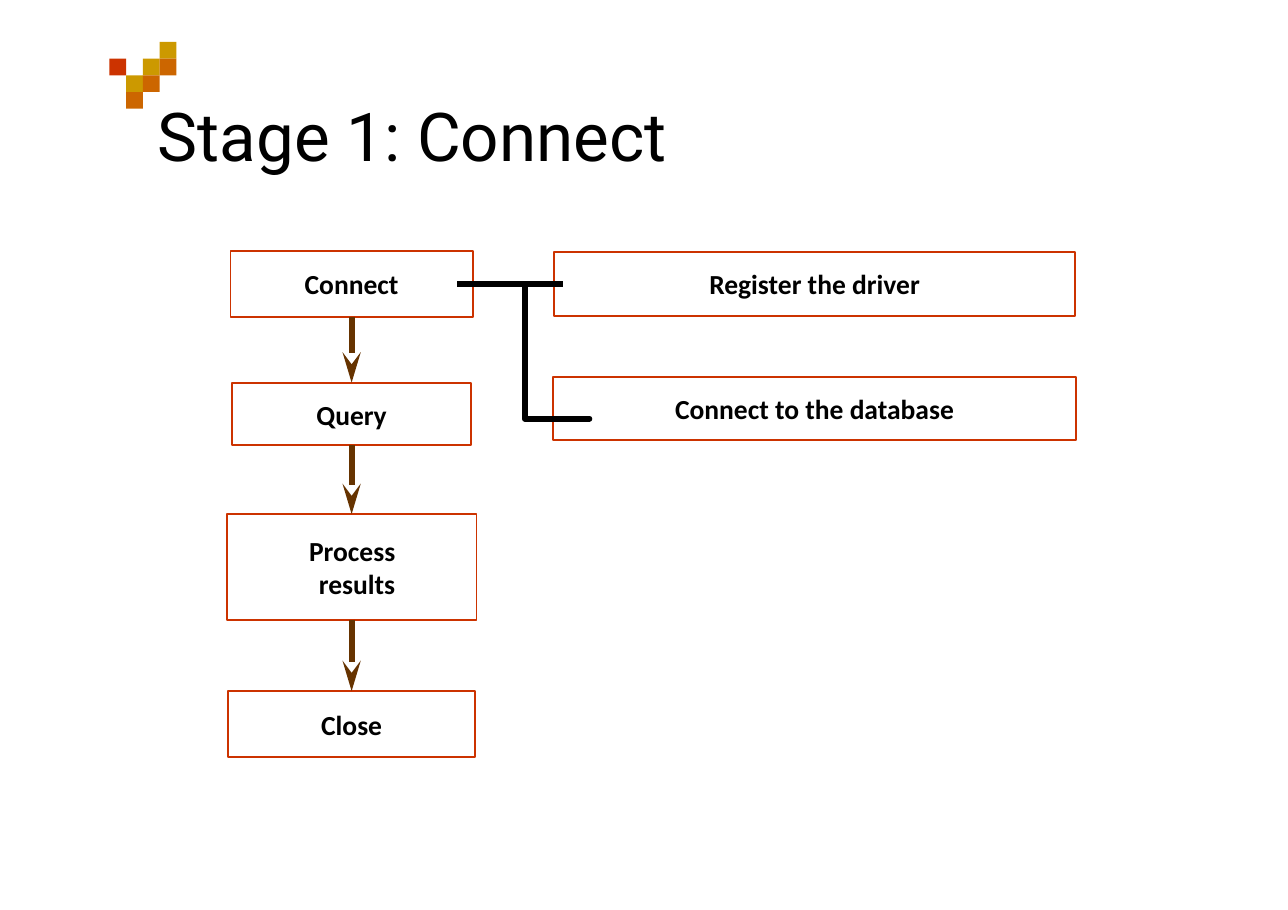
from dataclasses import dataclass
from lxml import etree
from pptx import Presentation
from pptx.dml.color import RGBColor
from pptx.enum.shapes import MSO_CONNECTOR, MSO_SHAPE
from pptx.enum.text import MSO_ANCHOR, MSO_AUTO_SIZE, PP_ALIGN
from pptx.oxml.ns import qn
from pptx.util import Inches, Pt

RECTANGLE = MSO_SHAPE.RECTANGLE
STRAIGHT = MSO_CONNECTOR.STRAIGHT
LEFT, CENTER, RIGHT = PP_ALIGN.LEFT, PP_ALIGN.CENTER, PP_ALIGN.RIGHT
TOP, MIDDLE = MSO_ANCHOR.TOP, MSO_ANCHOR.MIDDLE
BOTTOM_SITE, TOP_SITE = 2, 0


@dataclass(frozen=True)
class Theme:
    ink: RGBColor = RGBColor(0, 0, 0)
    red: RGBColor = RGBColor(0xCC, 0x33, 0x00)
    orange: RGBColor = RGBColor(0xCC, 0x66, 0x00)
    gold: RGBColor = RGBColor(0xCC, 0x99, 0x00)
    brown: RGBColor = RGBColor(0x66, 0x33, 0x00)
    title_font: str = "Roboto"
    box_font: str = "Calibri"
    title_size: Pt = Pt(44)
    box_size: Pt = Pt(18)
    border: Pt = Pt(1.25)
    stroke: Pt = Pt(4)


theme = Theme()
deck = Presentation()
deck.slide_width, deck.slide_height = Inches(11.69), Inches(8.26)


def col(share):
    return round(deck.slide_width * share / 100)


def row(share):
    return round(deck.slide_height * share / 100)


page = deck.slides.add_slide(deck.slide_layouts[5])
shapes = page.shapes

tile = col(1.3)
tiles = [
    (0, 1, theme.red),
    (1, 2, theme.gold), (1, 3, theme.orange),
    (2, 1, theme.gold), (2, 2, theme.orange),
    (3, 0, theme.gold), (3, 1, theme.orange),
]
for across, down, color in tiles:
    square = shapes.add_shape(RECTANGLE, col(8.5) + across * tile, row(4.6) + down * tile, tile, tile)
    square.shadow.inherit = False
    square.fill.solid()
    square.fill.fore_color.rgb = color
    square.line.fill.background()

title = shapes.title
title.left, title.top, title.width, title.height = col(12.25), row(10.4), col(40.6), row(9.2)
frame = title.text_frame
frame.text = "Stage 1: Connect"
frame.auto_size = MSO_AUTO_SIZE.NONE
frame.vertical_anchor = TOP
frame.margin_left = frame.margin_top = frame.margin_right = frame.margin_bottom = 0
para = frame.paragraphs[0]
para.alignment = LEFT
para.font.name = theme.title_font
para.font.size = theme.title_size
para.font.color.rgb = theme.ink

flow_center, detail_center = 27.3, 63.25
labels = [
    ("Connect", flow_center, 27.55, 18.8, 7.25),
    ("Query", flow_center, 42.05, 18.6, 6.9),
    ("Process results", flow_center, 56.5, 19.4, 11.6),
    ("Close", flow_center, 75.95, 19.2, 7.25),
    ("Register the driver", detail_center, 27.7, 40.4, 7),
    ("Connect to the database", detail_center, 41.4, 40.6, 7),
]
boxes = {}
for label, center, top, width, height in labels:
    box = shapes.add_shape(RECTANGLE, col(center - width / 2), row(top), col(width), row(height))
    box.shadow.inherit = False
    box.fill.background()
    box.line.color.rgb = theme.red
    box.line.width = theme.border
    frame = box.text_frame
    frame.text = label
    frame.word_wrap = True
    frame.vertical_anchor = MIDDLE
    frame.margin_left = frame.margin_top = frame.margin_right = frame.margin_bottom = 0
    para = frame.paragraphs[0]
    para.alignment = CENTER
    para.font.name = theme.box_font
    para.font.size = theme.box_size
    para.font.bold = True
    para.font.color.rgb = theme.ink
    boxes[label] = box

results_frame = boxes["Process results"].text_frame
results_frame.margin_left, results_frame.margin_right = col(5.2), col(6.3)
results_frame.paragraphs[0].alignment = RIGHT

branch = shapes.add_connector(STRAIGHT, col(35.5), row(31.2), col(43.7), row(31.2))
branch.line.color.rgb = theme.ink
connectors = [branch]

steps = [boxes[name] for name in ("Connect", "Query", "Process results", "Close")]
for upper, lower in zip(steps, steps[1:]):
    arrow = shapes.add_connector(STRAIGHT, 0, 0, 0, 0)
    arrow.begin_connect(upper, BOTTOM_SITE)
    arrow.end_connect(lower, TOP_SITE)
    arrow.line.color.rgb = theme.brown
    etree.SubElement(arrow.get_or_add_ln(), qn("a:tailEnd"), type="stealth", w="med", len="lg")
    connectors.append(arrow)

for connector in connectors:
    connector.line.width = theme.stroke
    etree.SubElement(connector._element.spPr, qn("a:effectLst"))

outline = shapes.build_freeform(col(40.75), row(31.35))
outline.add_line_segments([(col(40.75), row(46)), (col(45.75), row(46))], close=False)
elbow = outline.convert_to_shape()
elbow.shadow.inherit = False
elbow.fill.background()
elbow.line.color.rgb = theme.ink
elbow.line.width = theme.stroke
elbow_line = elbow.get_or_add_ln()
elbow_line.set("cap", "rnd")
etree.SubElement(elbow_line, qn("a:round"))

deck.save("out.pptx")
